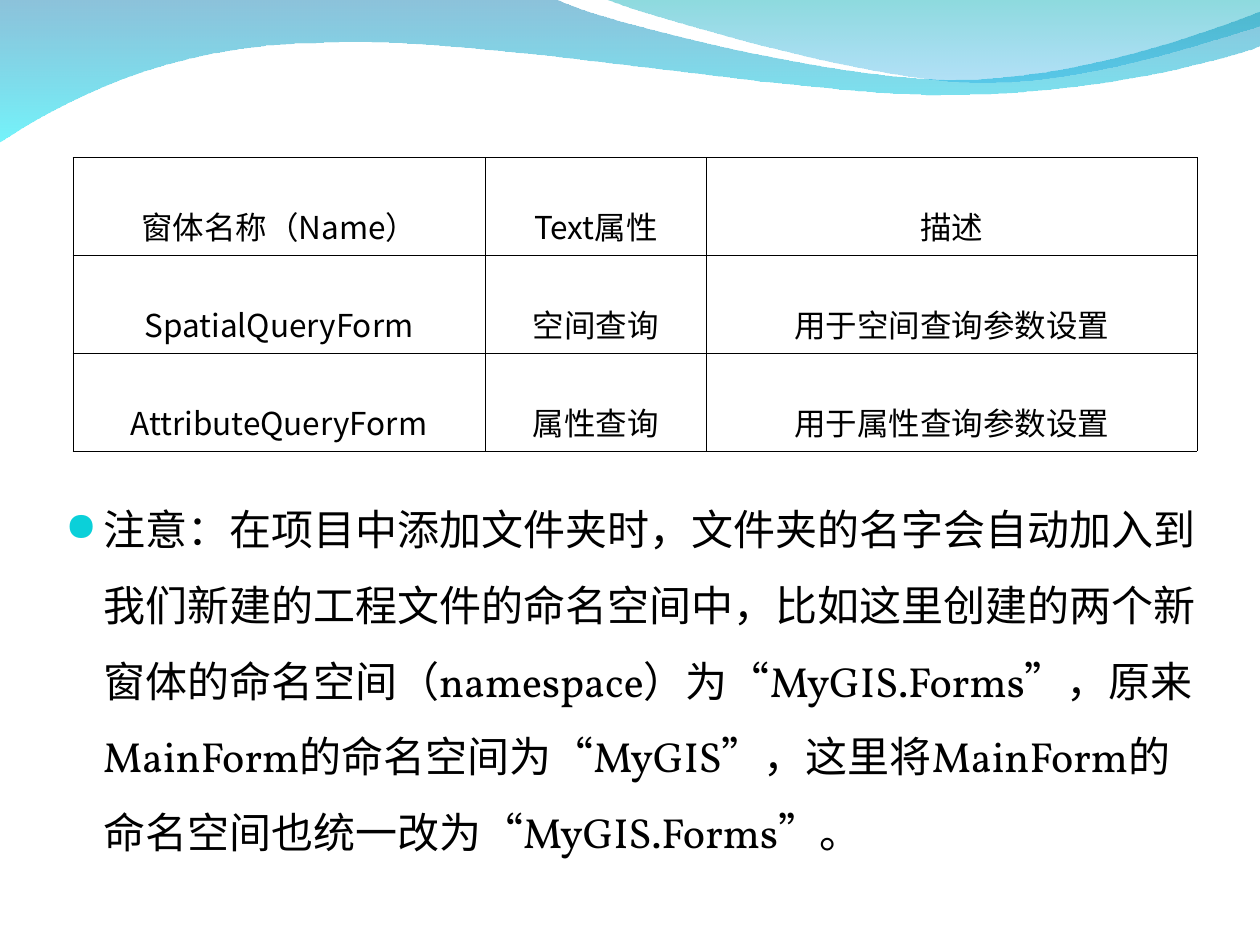
"""Builds a slide with a form table, a namespace note and a wave header."""

from lxml.etree import SubElement
from pptx import Presentation
from pptx.dml.color import RGBColor
from pptx.enum.text import MSO_ANCHOR, PP_ALIGN
from pptx.oxml import parse_xml
from pptx.oxml.ns import nsdecls, qn
from pptx.util import Inches, Pt

BLACK = RGBColor(0x00, 0x00, 0x00)
DEEP_BLUE = RGBColor(0x00, 0x79, 0xAF)
CYAN = RGBColor(0x00, 0xEB, 0xF8)
TEAL = RGBColor(0x00, 0xAD, 0xB6)
SKY_BLUE = RGBColor(0x00, 0x9B, 0xE5)
BULLET_CYAN = RGBColor(0x0B, 0xD0, 0xD9)
SANS = "Noto Sans CJK SC"
SERIF = "Vollkorn"
SYMBOLS = "OpenSymbol"

BACK_WAVE = [
    [(0, -0.01)],
    [(4.4, -0.01)],
    [(4.76, 0.17), (6.64, 0.63), (7.58, 0.63)],
    [(8.53, 0.63), (9.58, 0.26), (10, 0.09)],
    [(10.01, 0.36)],
    [(9.83, 0.44), (8.7, 0.76), (7.46, 0.75)],
    [(6.22, 0.75), (3.82, 0.28), (2.57, 0.34)],
    [(1.29, 0.35), (0.46, 0.83), (-0.01, 1.13)],
    [(0, -0.01)],
]
FRONT_WAVE = [
    [(4.79, -0.01)],
    [(5.09, 0.11), (6.82, 0.62), (7.69, 0.65)],
    [(8.56, 0.69), (9.61, 0.32), (10, 0.21)],
    [(10, 0)],
    [(4.79, -0.01)],
]
FORMS = [
    ["窗体名称（Name）", "Text属性", "描述"],
    ["SpatialQueryForm", "空间查询", "用于空间查询参数设置"],
    ["AttributeQueryForm", "属性查询", "用于属性查询参数设置"],
]
NOTE = (
    "注意：在项目中添加文件夹时，文件夹的名字会自动加入到我们新建的工程文件的命名空间中，"
    "比如这里创建的两个新窗体的命名空间（namespace）为“MyGIS.Forms”，"
    "原来MainForm的命名空间为“MyGIS”，这里将MainForm的命名空间也统一改为“MyGIS.Forms”。"
)


class SlideBuilder:
    """Holds the text style and the current slide."""

    def __init__(self, slide, color=BLACK):
        self.slide = slide
        self.color = color

    def add_run(self, paragraph, text, size, font_name, hanging):
        """Add a styled run to a paragraph with a hanging indent."""
        properties = paragraph._p.get_or_add_pPr()
        properties.set("marL", str(Inches(hanging)))
        properties.set("indent", str(-Inches(hanging)))
        run = paragraph.add_run()
        run.text = text
        run.font.size = Pt(size)
        run.font.name = font_name
        run.font.color.rgb = self.color
        SubElement(run._r.get_or_add_rPr(), qn("a:ea"), typeface=SANS)

    def bend(self, shape, segments):
        """Turn each group of three line steps into one cubic curve."""
        lines = iter(list(shape._element.iter(qn("a:lnTo"))))
        for segment in segments[1:]:
            first, *others = [next(lines) for point in segment]
            if others:
                first.tag = qn("a:cubicBezTo")
                for line in others:
                    first.append(line[0])
                    line.getparent().remove(line)

    def add_wave(self, segments, stops):
        """Add a closed wave filled with a translucent vertical gradient."""
        points = [(Inches(x), Inches(y)) for segment in segments for x, y in segment]
        builder = self.slide.shapes.build_freeform(*points[0], scale=1.0)
        builder.add_line_segments(points[1:], close=True)
        shape = builder.convert_to_shape()
        self.bend(shape, segments)
        shape.shadow.inherit = False
        shape.line.fill.background()
        shape.fill.gradient()
        shape.fill.gradient_angle = 270
        for stop, position, (color, opacity) in zip(shape.fill.gradient_stops, (0, 1), stops):
            stop.position = position
            stop.color.rgb = color
        for element, (color, opacity) in zip(shape._element.iter(qn("a:srgbClr")), stops):
            SubElement(element, qn("a:alpha"), val=str(opacity * 1000))

    def add_border(self, cell, width=0.45):
        """Draw a thin line on all four sides of a cell."""
        properties = cell._tc.get_or_add_tcPr()
        for index, side in enumerate(("lnL", "lnR", "lnT", "lnB")):
            properties.insert(index, parse_xml(
                f'<a:{side} {nsdecls("a")} w="{Pt(width)}"><a:solidFill>'
                f'<a:srgbClr val="{self.color}"/></a:solidFill></a:{side}>'
            ))

    def add_table(self, rows, left, top, widths, height):
        """Add a plain bordered table with centred text and equal rows."""
        shape = self.slide.shapes.add_table(
            len(rows), len(widths), Inches(left), Inches(top),
            Inches(sum(widths)), Inches(height),
        )
        table = shape.table
        table.first_row = table.horz_banding = False
        for column, width in zip(table.columns, widths):
            column.width = Inches(width)
        for row_index, texts in enumerate(rows):
            for column_index, text in enumerate(texts):
                cell = table.cell(row_index, column_index)
                cell.fill.background()
                cell.vertical_anchor = MSO_ANCHOR.BOTTOM
                self.add_border(cell)
                paragraph = cell.text_frame.paragraphs[0]
                paragraph.alignment = PP_ALIGN.CENTER
                self.add_run(paragraph, text, 18, SANS, 0.38)

    def add_note(self, text, left, top, width, height):
        """Add a bulleted paragraph in a text box."""
        box = self.slide.shapes.add_textbox(
            Inches(left), Inches(top), Inches(width), Inches(height)
        )
        box.text_frame.word_wrap = True
        paragraph = box.text_frame.paragraphs[0]
        paragraph.line_spacing = 1.5
        properties = paragraph._p.get_or_add_pPr()
        bullet_color = SubElement(properties, qn("a:buClr"))
        SubElement(bullet_color, qn("a:srgbClr"), val=str(BULLET_CYAN))
        SubElement(properties, qn("a:buSzPct"), val="95000")
        SubElement(properties, qn("a:buFont"), typeface=SYMBOLS)
        SubElement(properties, qn("a:buChar"), char="●")
        self.add_run(paragraph, text, 24, SERIF, 0.3)


def main():
    """Build and save the presentation."""
    presentation = Presentation()
    presentation.slide_width = Inches(10)
    presentation.slide_height = Inches(7.5)
    builder = SlideBuilder(presentation.slides.add_slide(presentation.slide_layouts[6]))
    builder.add_wave(BACK_WAVE, [(DEEP_BLUE, 45), (CYAN, 55)])
    builder.add_wave(FRONT_WAVE, [(TEAL, 45), (SKY_BLUE, 30)])
    builder.add_table(FORMS, 0.58, 1.25, [3.27, 1.76, 3.89], 2.33)
    builder.add_note(NOTE, 0.42, 3.75, 9.26, 3.33)
    presentation.save("out.pptx")


if __name__ == "__main__":
    main()
